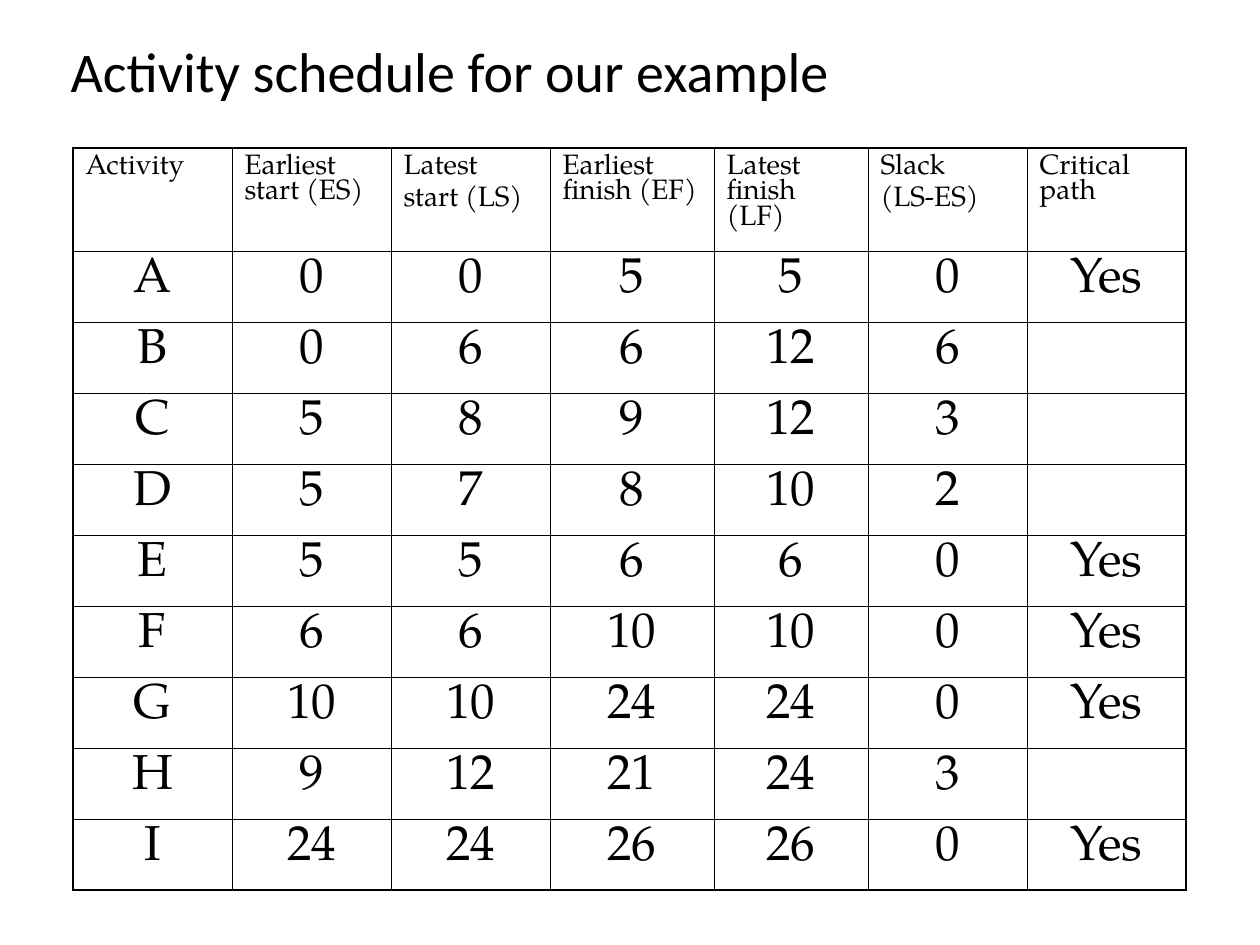
from lxml.etree import SubElement
from pptx import Presentation
from pptx.dml.color import RGBColor
from pptx.enum.text import MSO_ANCHOR, PP_ALIGN
from pptx.oxml.ns import qn
from pptx.util import Emu, Pt

PX_PER_INCH = 126
COLORS = {"ink": "000000"}
TITLE_FONT, TABLE_FONT = "Calibri", "TeX Gyre Pagella"
THIN, THICK = Pt(0.45), Pt(1.08)

# Each heading is a list of paragraphs.
HEADINGS = [
    ["Activity"],
    ["Earliest start (ES)"],
    ["Latest", "start (LS)"],
    ["Earliest finish (EF)"],
    ["Latest finish (LF)"],
    ["Slack", "(LS-ES)"],
    ["Critical path"],
]
ACTIVITIES = [
    ("A", 0, 0, 5, 5, 0, "Yes"),
    ("B", 0, 6, 6, 12, 6, ""),
    ("C", 5, 8, 9, 12, 3, ""),
    ("D", 5, 7, 8, 10, 2, ""),
    ("E", 5, 5, 6, 6, 0, "Yes"),
    ("F", 6, 6, 10, 10, 0, "Yes"),
    ("G", 10, 10, 24, 24, 0, "Yes"),
    ("H", 9, 12, 21, 24, 3, ""),
    ("I", 24, 24, 26, 26, 0, "Yes"),
]
COLUMN_WIDTHS = [159, 159, 159, 164, 154, 159, 159]
HEADING_HEIGHT, ACTIVITY_HEIGHT = 103, 71


def px(length):
    return Emu(round(length * 914400 / PX_PER_INCH))


class ScheduleSlide:
    def __init__(self, presentation):
        self.slide = presentation.slides.add_slide(presentation.slide_layouts[5])

    def run(self, paragraph, text, font, size):
        run = paragraph.add_run()
        run.text = text
        run.font.name = font
        run.font.size = Pt(size)
        run.font.color.rgb = RGBColor.from_string(COLORS["ink"])

    def title(self, text, left, top, width, height):
        title = self.slide.shapes.title
        title.left, title.top = px(left), px(top)
        title.width, title.height = px(width), px(height)
        title.text_frame.vertical_anchor = MSO_ANCHOR.MIDDLE
        paragraph = title.text_frame.paragraphs[0]
        paragraph.alignment = PP_ALIGN.LEFT
        paragraph.line_spacing = 0.9
        self.run(paragraph, text, TITLE_FONT, 32)

    def borders(self, cell, widths):
        """Draw the cell's edges; widths run left, right, top, bottom."""
        properties = cell._tc.get_or_add_tcPr()
        for position, (side, width) in enumerate(zip("LRTB", widths)):
            line = SubElement(properties, qn(f"a:ln{side}"), w=str(width))
            fill = SubElement(line, qn("a:solidFill"))
            SubElement(fill, qn("a:srgbClr"), val=COLORS["ink"])
            properties.insert(position, line)

    def cell_text(self, cell, lines, is_heading):
        for index, text in enumerate(lines):
            frame = cell.text_frame
            paragraph = frame.add_paragraph() if index else frame.paragraphs[0]
            if is_heading:
                paragraph.line_spacing = 0.9
            else:
                paragraph.alignment = PP_ALIGN.CENTER
            paragraph.space_before = Pt(4 if is_heading else 7)
            if text:
                self.run(paragraph, text, TABLE_FONT, 16 if is_heading else 28)

    def table(self, left, top, rows, widths, heights):
        table = self.slide.shapes.add_table(
            len(rows), len(widths), px(left), px(top), px(sum(widths)), px(sum(heights))
        ).table
        table.first_row = table.horz_banding = False
        for column, width in zip(table.columns, widths):
            column.width = px(width)
        last_row, last_column = len(rows) - 1, len(widths) - 1
        for r, (row, height) in enumerate(zip(rows, heights)):
            table.rows[r].height = px(height)
            for c, lines in enumerate(row):
                cell = table.cell(r, c)
                cell.fill.background()
                outer_edges = (c == 0, c == last_column, r == 0, r == last_row)
                self.borders(cell, [THICK if outer else THIN for outer in outer_edges])
                self.cell_text(cell, lines, is_heading=r == 0)


def main():
    presentation = Presentation()
    presentation.slide_width, presentation.slide_height = px(1260), px(945)
    schedule = ScheduleSlide(presentation)
    schedule.title("Activity schedule for our example", 58, 38, 1144, 73)
    activity_rows = [[[str(value)] for value in activity] for activity in ACTIVITIES]
    heights = [HEADING_HEIGHT] + [ACTIVITY_HEIGHT] * len(ACTIVITIES)
    schedule.table(73, 148, [HEADINGS] + activity_rows, COLUMN_WIDTHS, heights)
    presentation.save("out.pptx")


if __name__ == "__main__":
    main()
